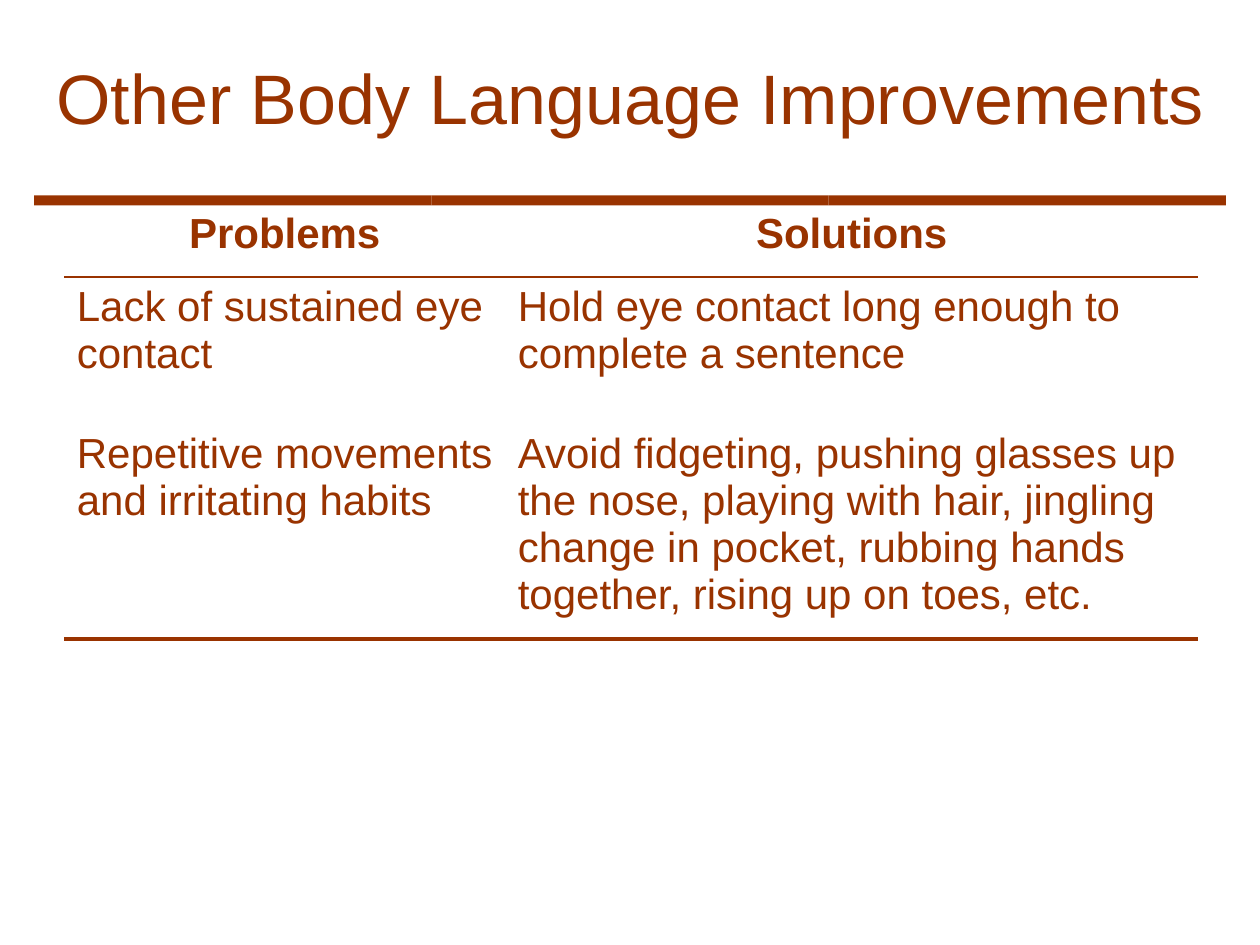
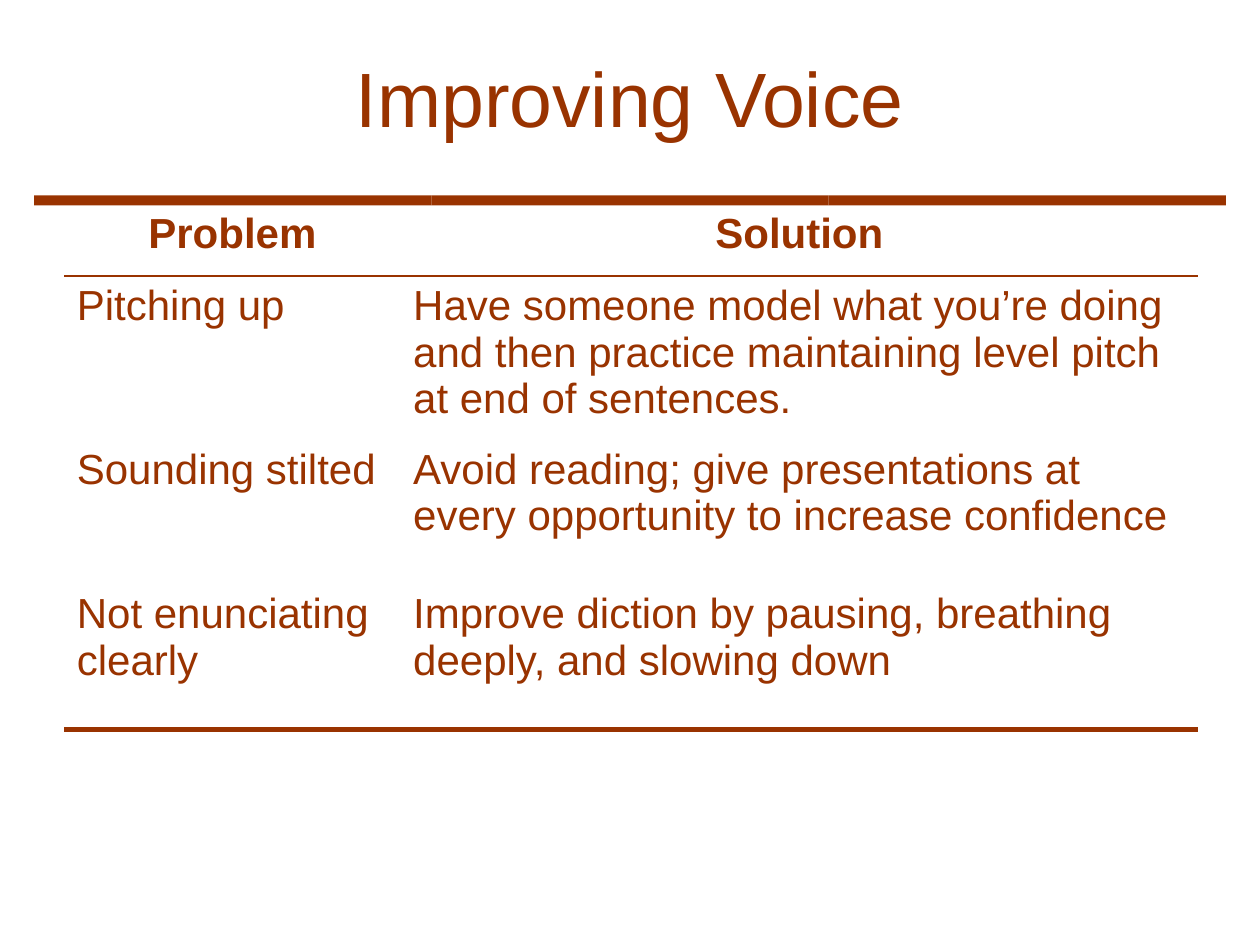
"""Build two presentation-skills slides, each with a title, a band and a problem/solution table."""
from lxml import etree
from pptx import Presentation
from pptx.dml.color import RGBColor
from pptx.enum.shapes import MSO_SHAPE
from pptx.enum.text import MSO_ANCHOR, PP_ALIGN
from pptx.oxml.ns import qn
from pptx.util import Inches, Pt

RECTANGLE = MSO_SHAPE.RECTANGLE
MIDDLE = MSO_ANCHOR.MIDDLE
CENTER, LEFT = PP_ALIGN.CENTER, PP_ALIGN.LEFT

COLORS = {"rust": "993300", "paper": "FFFFFF"}
FONT = "Arial"
SLIDE_WIDTH, SLIDE_HEIGHT = Inches(10), Inches(7.5)
BAND_COUNT = 3
BAND_MARGIN, BAND_TOP, BAND_HEIGHT = Inches(0.27), Inches(1.55), Inches(0.08)
TITLE_MARGIN, TITLE_TOP, TITLE_HEIGHT = Inches(0.2), Inches(0.3), Inches(0.93)
TABLE_LEFT, TABLE_TOP, TABLE_WIDTH = Inches(0.51), Inches(1.62), Inches(9)
HEADER_RULE, CLOSING_RULE = Pt(1.47), Pt(3)
TEXT_SIZE = 24

SLIDES = [
    {
        "title": "Other Body Language Improvements",
        "title_size": 40,
        "problem_width": 3.5,
        "row_heights": [0.58, 1.17, 1.7],
        "rows": [
            ("Problems", "Solutions"),
            ("Lack of sustained eye contact",
             "Hold eye contact long enough to complete a sentence"),
            ("Repetitive movements and irritating habits",
             "Avoid fidgeting, pushing glasses up the nose, playing with hair, "
             "jingling change in pocket, rubbing hands together, rising up on toes, etc."),
        ],
    },
    {
        "title": "Improving Voice",
        "title_size": 44,
        "problem_width": 2.67,
        "row_heights": [0.57, 1.3, 1.15, 1.15],
        "rows": [
            ("Problem", "Solution"),
            ("Pitching up",
             "Have someone model what you’re doing and then practice "
             "maintaining level pitch at end of sentences."),
            ("Sounding stilted",
             "Avoid reading; give presentations at every opportunity to increase confidence"),
            ("Not enunciating clearly",
             "Improve diction by pausing, breathing deeply, and slowing down"),
        ],
    },
]


def color(name):
    return RGBColor.from_string(COLORS[name])


def write(paragraph, text, size, alignment, bold=False):
    paragraph.alignment = alignment
    run = paragraph.add_run()
    run.text = text
    run.font.name = FONT
    run.font.size = Pt(size)
    run.font.bold = bold
    run.font.color.rgb = color("rust")


def add_band(slide):
    width = (SLIDE_WIDTH - 2 * BAND_MARGIN) // BAND_COUNT
    for index in range(BAND_COUNT):
        shape = slide.shapes.add_shape(
            RECTANGLE, BAND_MARGIN + index * width, BAND_TOP, width, BAND_HEIGHT)
        shape.shadow.inherit = False
        shape.fill.solid()
        shape.fill.fore_color.rgb = color("rust")
        shape.line.fill.background()


def add_title(slide, text, size):
    box = slide.shapes.add_textbox(
        TITLE_MARGIN, TITLE_TOP, SLIDE_WIDTH - 2 * TITLE_MARGIN, TITLE_HEIGHT)
    frame = box.text_frame
    frame.word_wrap = True
    frame.vertical_anchor = MIDDLE
    write(frame.paragraphs[0], text, size, CENTER)


def set_borders(cell, top=0, bottom=0):
    """Draw the given top and bottom rules and clear every other side."""
    properties = cell._tc.get_or_add_tcPr()
    for side, width in (("L", 0), ("R", 0), ("T", top), ("B", bottom)):
        line = etree.SubElement(properties, qn(f"a:ln{side}"), w=str(int(width)))
        if width:
            fill = etree.SubElement(line, qn("a:solidFill"))
            etree.SubElement(fill, qn("a:srgbClr"), val=COLORS["rust"])
        else:
            etree.SubElement(line, qn("a:noFill"))


def add_table(slide, rows, row_heights, problem_width):
    height = Inches(sum(row_heights))
    table = slide.shapes.add_table(
        len(rows), 2, TABLE_LEFT, TABLE_TOP, TABLE_WIDTH, height).table
    table.first_row = table.horz_banding = False
    table.columns[0].width = Inches(problem_width)
    table.columns[1].width = TABLE_WIDTH - Inches(problem_width)
    last = len(rows) - 1
    for row_index, texts in enumerate(rows):
        table.rows[row_index].height = Inches(row_heights[row_index])
        is_header = row_index == 0
        top = HEADER_RULE if row_index == 1 else 0
        bottom = {0: HEADER_RULE, last: CLOSING_RULE}.get(row_index, 0)
        for column_index, text in enumerate(texts):
            cell = table.cell(row_index, column_index)
            set_borders(cell, top, bottom)
            cell.fill.background()
            paragraph = cell.text_frame.paragraphs[0]
            paragraph.space_before = Pt(6)
            write(paragraph, text, TEXT_SIZE, CENTER if is_header else LEFT, is_header)


def add_slide(presentation, content):
    slide = presentation.slides.add_slide(presentation.slide_layouts[6])
    slide.background.fill.solid()
    slide.background.fill.fore_color.rgb = color("paper")
    add_band(slide)
    add_title(slide, content["title"], content["title_size"])
    add_table(slide, content["rows"], content["row_heights"], content["problem_width"])


def main():
    presentation = Presentation()
    presentation.slide_width = SLIDE_WIDTH
    presentation.slide_height = SLIDE_HEIGHT
    for content in SLIDES:
        add_slide(presentation, content)
    presentation.save("out.pptx")


if __name__ == "__main__":
    main()
